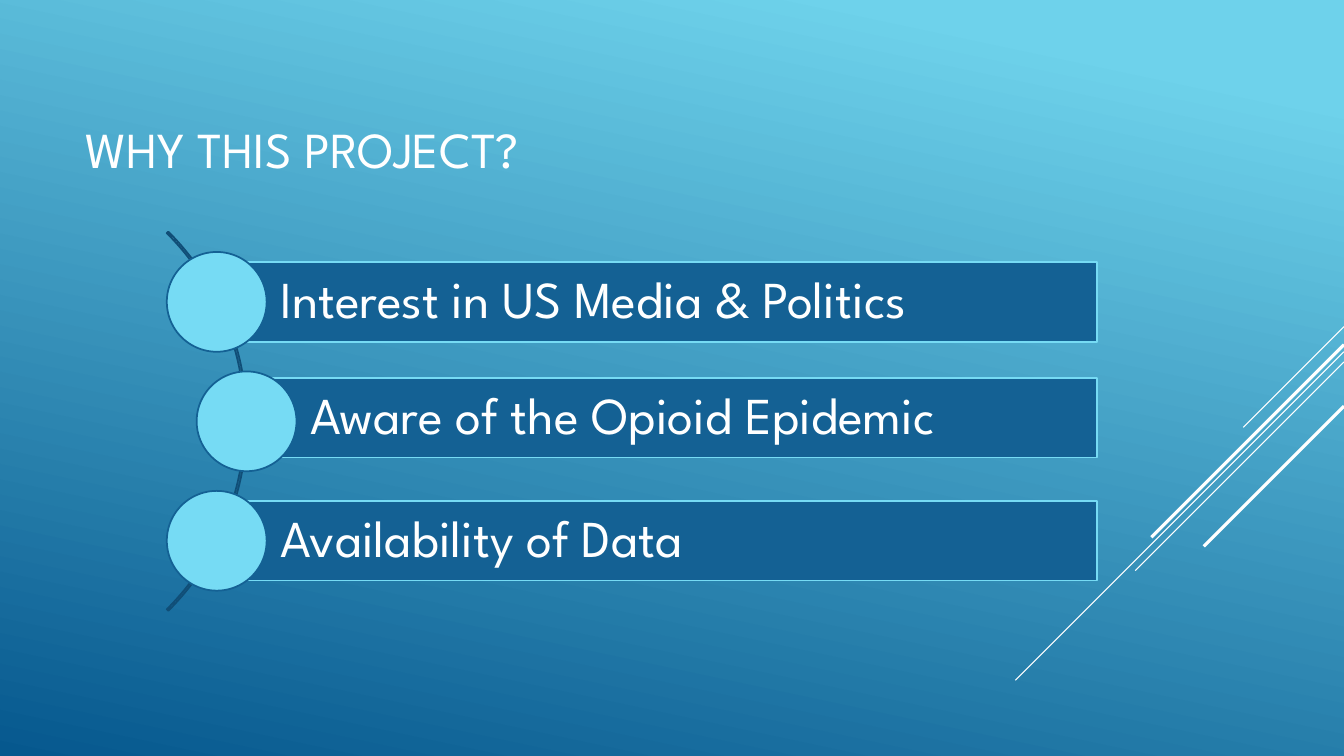
from dataclasses import dataclass
from typing import Any

import pptx
import pptx.dml.color
import pptx.enum.shapes
import pptx.enum.text
import pptx.oxml
import pptx.util

RGBColor = pptx.dml.color.RGBColor
Shape = pptx.enum.shapes.MSO_SHAPE

WHITE = RGBColor(0xFF, 0xFF, 0xFF)
SKY = RGBColor(0x6E, 0xD2, 0xEB)
OCEAN = RGBColor(0x06, 0x58, 0x8E)
NAVY = RGBColor(0x14, 0x61, 0x94)
DEEP_NAVY = RGBColor(0x10, 0x4E, 0x77)
AQUA = RGBColor(0x76, 0xDB, 0xF4)

SLIDE_WIDTH = pptx.util.Inches(13.333)
SLIDE_HEIGHT = pptx.util.Inches(7.5)
FONT = "League Spartan"
OUTLINE = 1.25

ARC_LEFT, ARC_WIDTH = -21.53, 39.9
ARC_MIDDLE, ARC_HEIGHT = 55.73, 70.93
BAR_RIGHT, BAR_HEIGHT = 81.65, 10.53
DOT_WIDTH, DOT_HEIGHT, DOT_STEP = 7.43, 13.2, 15.8


@dataclass(frozen=True)
class Ray:
    """A 45-degree line from the right edge, in percent of the slide."""
    start: float
    run: float
    weight: float


@dataclass(frozen=True)
class Reason:
    """A bar with its dot, in percent of the slide."""
    wording: str
    left: float
    top: float


RAYS = [
    Ray(43.2, 7.5, 0.75),
    Ray(46.53, 24.45, 0.75),
    Ray(47.87, 15.53, 0.75),
    Ray(45.6, 14.33, 2.25),
    Ray(53.73, 10.43, 2.25),
]
REASONS = [
    Reason("Interest in US Media & Politics", 16.13, 34.67),
    Reason("Aware of the Opioid Epidemic", 18.35, 50),
    Reason("Availability of Data", 16.13, 66.27),
]


def across(percent: float) -> int:
    """Turn a share of the slide's width into a length."""
    return round(SLIDE_WIDTH * percent / 100)


def down(percent: float) -> int:
    """Turn a share of the slide's height into a length."""
    return round(SLIDE_HEIGHT * percent / 100)


def apply_format(target: Any, values: dict[str, Any]) -> None:
    """Set each named attribute on the target."""
    for attribute, value in values.items():
        setattr(target, attribute, value)


def write(frame: Any, wording: str, size: float, inset: float) -> None:
    """Put one left-aligned white line into a text frame."""
    apply_format(frame, {
        "text": wording,
        "word_wrap": True,
        "auto_size": pptx.enum.text.MSO_AUTO_SIZE.NONE,
        "vertical_anchor": pptx.enum.text.MSO_ANCHOR.MIDDLE,
        "margin_left": across(inset),
    })
    paragraph = frame.paragraphs[0]
    apply_format(paragraph, {"alignment": pptx.enum.text.PP_ALIGN.LEFT, "line_spacing": 0.9})
    font = paragraph.runs[0].font
    apply_format(font, {"name": FONT, "size": pptx.util.Pt(size)})
    font.color.rgb = WHITE


def paint_background(slide: Any) -> None:
    """Fill the background with the sky-to-ocean gradient."""
    fill = slide.background.fill
    fill.gradient()
    fill.gradient_angle = 360 - 102
    for stop, position, color in zip(fill.gradient_stops, (0.1, 1), (SKY, OCEAN)):
        stop.position = position
        stop.color.rgb = color


def draw_ray(slide: Any, ray: Ray) -> None:
    """Draw one diagonal ray from the right edge."""
    run, start = across(ray.run), down(ray.start)
    line = slide.shapes.add_connector(
        pptx.enum.shapes.MSO_CONNECTOR.STRAIGHT,
        SLIDE_WIDTH, start, SLIDE_WIDTH - run, start + run)
    line.line.color.rgb = WHITE
    line.line.width = pptx.util.Pt(ray.weight)
    properties = line._element.spPr
    properties.append(pptx.oxml.parse_xml(
        '<a:effectLst xmlns:a="http://schemas.openxmlformats.org/drawingml/2006/main"/>'))


def draw_shape(slide: Any, kind: Any, left: float, top: float, width: float,
               height: float, fill: RGBColor | None, outline: RGBColor) -> Any:
    """Draw a flat outlined shape, placed in percent of the slide."""
    shape = slide.shapes.add_shape(
        kind, across(left), down(top), across(width), down(height))
    shape.shadow.inherit = False
    if fill is None:
        shape.fill.background()
    else:
        shape.fill.solid()
        shape.fill.fore_color.rgb = fill
    shape.line.color.rgb = outline
    shape.line.width = pptx.util.Pt(OUTLINE)
    return shape


def draw_reason(slide: Any, reason: Reason, step: int) -> None:
    """Draw a bar with its wording and the dot centred on its left end."""
    bar = draw_shape(slide, Shape.RECTANGLE, reason.left, reason.top,
                     BAR_RIGHT - reason.left, BAR_HEIGHT, NAVY, AQUA)
    write(bar.text_frame, reason.wording, 37, 4.73)
    middle = ARC_MIDDLE + step * DOT_STEP
    draw_shape(slide, Shape.OVAL, reason.left - DOT_WIDTH / 2, middle - DOT_HEIGHT / 2,
               DOT_WIDTH, DOT_HEIGHT, AQUA, NAVY)


def main() -> None:
    """Build the slide and save it."""
    deck = pptx.Presentation()
    apply_format(deck, {"slide_width": SLIDE_WIDTH, "slide_height": SLIDE_HEIGHT})
    slide = deck.slides.add_slide(deck.slide_layouts[5])
    paint_background(slide)
    title = slide.shapes.title
    apply_format(title, {"left": across(5.63), "top": down(9.07),
                         "width": across(70), "height": down(22)})
    write(title.text_frame, "WHY THIS PROJECT?", 36, 0.75)
    for ray in RAYS:
        draw_ray(slide, ray)
    arc = draw_shape(slide, Shape.BLOCK_ARC, ARC_LEFT, ARC_MIDDLE - ARC_HEIGHT / 2,
                     ARC_WIDTH, ARC_HEIGHT, None, DEEP_NAVY)
    for index, adjustment in enumerate((189, 27, 0.004)):
        arc.adjustments[index] = adjustment
    for step, reason in enumerate(REASONS, start=-1):
        draw_reason(slide, reason, step)
    deck.save("out.pptx")


if __name__ == "__main__":
    main()
